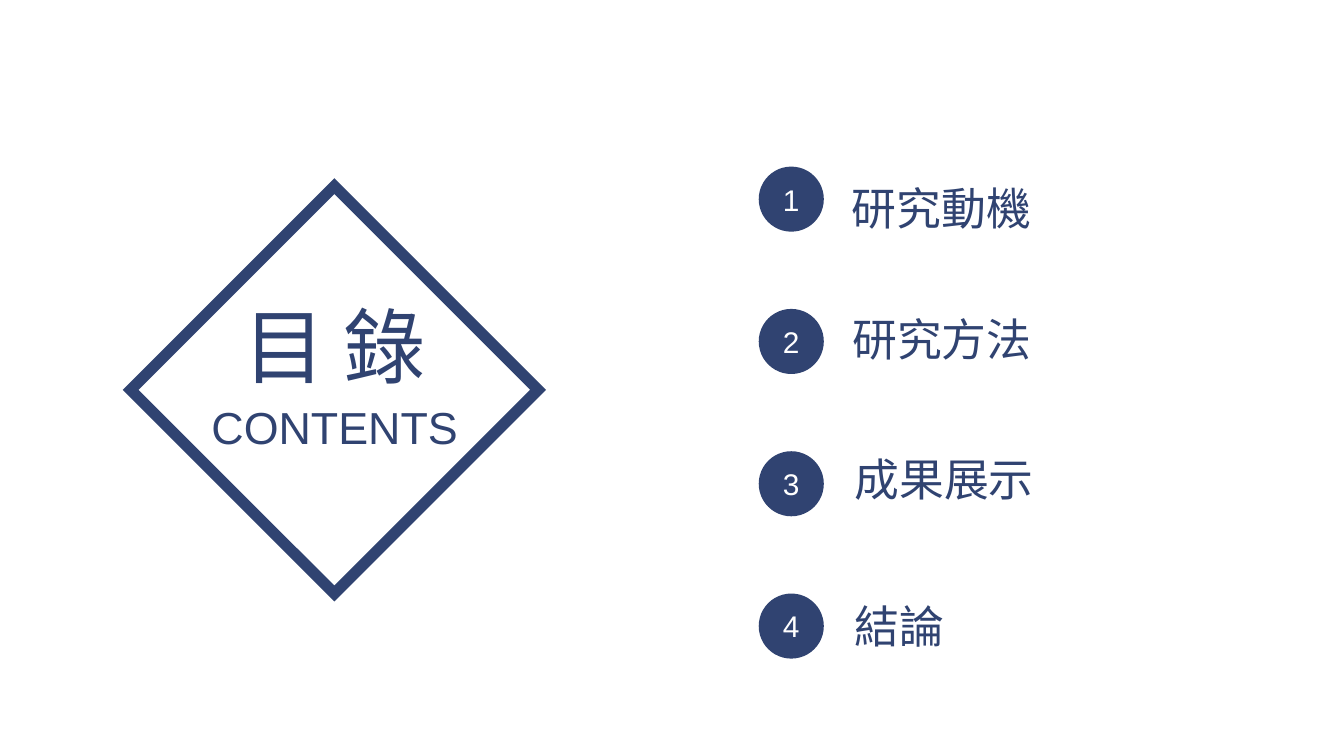
from lxml import etree
from pptx import Presentation
from pptx.dml.color import RGBColor
from pptx.enum.shapes import MSO_SHAPE
from pptx.enum.text import MSO_ANCHOR, MSO_AUTO_SIZE, PP_ALIGN
from pptx.oxml.ns import qn
from pptx.util import Cm, Pt

NAVY = RGBColor(0x30, 0x43, 0x71)
WHITE = RGBColor(0xFF, 0xFF, 0xFF)
LATIN_FONT = "Arial"
CHINESE_FONT = "Noto Sans CJK SC"
LEFT, CENTER = PP_ALIGN.LEFT, PP_ALIGN.CENTER
TOP, MIDDLE = MSO_ANCHOR.TOP, MSO_ANCHOR.MIDDLE
FIT_SHAPE = MSO_AUTO_SIZE.SHAPE_TO_FIT_TEXT
OVAL, DIAMOND = MSO_SHAPE.OVAL, MSO_SHAPE.DIAMOND
TITLE_ONLY_LAYOUT = 5

# Text, left and top of each label, in centimetres
CHAPTERS = [
    ("研究動機", 15.85, 3.3),
    ("研究方法", 15.86, 5.77),
    ("成果展示", 15.9, 8.41),
    ("結論", 15.9, 11.2),
]
LABEL_MARGINS, CHARACTER_WIDTH = 0.54, 0.85
BADGE_LEFT, BADGE_TOP, BADGE_SIZE, BADGE_PITCH = 14.34, 3.15, 1.23, 2.69


def write_text(shape, text, size, font_name, color, alignment):
    text_frame = shape.text_frame
    text_frame.text = text
    paragraph = text_frame.paragraphs[0]
    paragraph.alignment = alignment
    run = paragraph.runs[0]
    run.font.size = Pt(size)
    run.font.name = font_name
    run.font.color.rgb = color
    # python-pptx sets only the Latin typeface
    east_asian = etree.SubElement(run.font._element, qn("a:ea"))
    east_asian.set("typeface", font_name)


def fit_to_text(shape):
    shape.text_frame.word_wrap = False
    shape.text_frame.auto_size = FIT_SHAPE
    shape.text_frame.vertical_anchor = TOP


def add_title(slide):
    title = slide.shapes.title
    title.left, title.top = Cm(4.27), Cm(5.46)
    title.width, title.height = Cm(4.11), Cm(2.13)
    write_text(title, "目 錄", 44, CHINESE_FONT, NAVY, CENTER)
    fit_to_text(title)


def add_label(slide, text, left, top, width, font_name, alignment=LEFT):
    label = slide.shapes.add_textbox(Cm(left), Cm(top), Cm(width), Cm(1.27))
    write_text(label, text, 24, font_name, NAVY, alignment)
    fit_to_text(label)


def add_badge(slide, number, top):
    badge = slide.shapes.add_shape(
        OVAL, Cm(BADGE_LEFT), Cm(top), Cm(BADGE_SIZE), Cm(BADGE_SIZE))
    badge.shadow.inherit = False
    badge.fill.solid()
    badge.fill.fore_color.rgb = NAVY
    badge.line.fill.background()
    badge.text_frame.vertical_anchor = MIDDLE
    write_text(badge, str(number), 16, LATIN_FONT, WHITE, CENTER)


def add_diamond_frame(slide):
    """Add the outlined diamond with sharp, mitred corners."""
    diamond = slide.shapes.add_shape(
        DIAMOND, Cm(2.47), Cm(3.52), Cm(7.7), Cm(7.7))
    diamond.shadow.inherit = False
    diamond.fill.background()
    diamond.line.color.rgb = NAVY
    diamond.line.width = Pt(6)
    outline = diamond._element.spPr.find(qn("a:ln"))
    etree.SubElement(outline, qn("a:miter")).set("lim", "800000")


def main():
    presentation = Presentation()
    presentation.slide_width, presentation.slide_height = Cm(25.4), Cm(14.29)
    layout = presentation.slide_layouts[TITLE_ONLY_LAYOUT]
    slide = presentation.slides.add_slide(layout)

    add_title(slide)
    for index, (text, left, top) in enumerate(CHAPTERS):
        add_badge(slide, index + 1, BADGE_TOP + index * BADGE_PITCH)
        width = LABEL_MARGINS + CHARACTER_WIDTH * len(text)
        add_label(slide, text, left, top, width, CHINESE_FONT)
    add_diamond_frame(slide)
    add_label(slide, "CONTENTS", 3.72, 7.44, 5.21, LATIN_FONT, CENTER)

    presentation.save("out.pptx")


if __name__ == "__main__":
    main()
